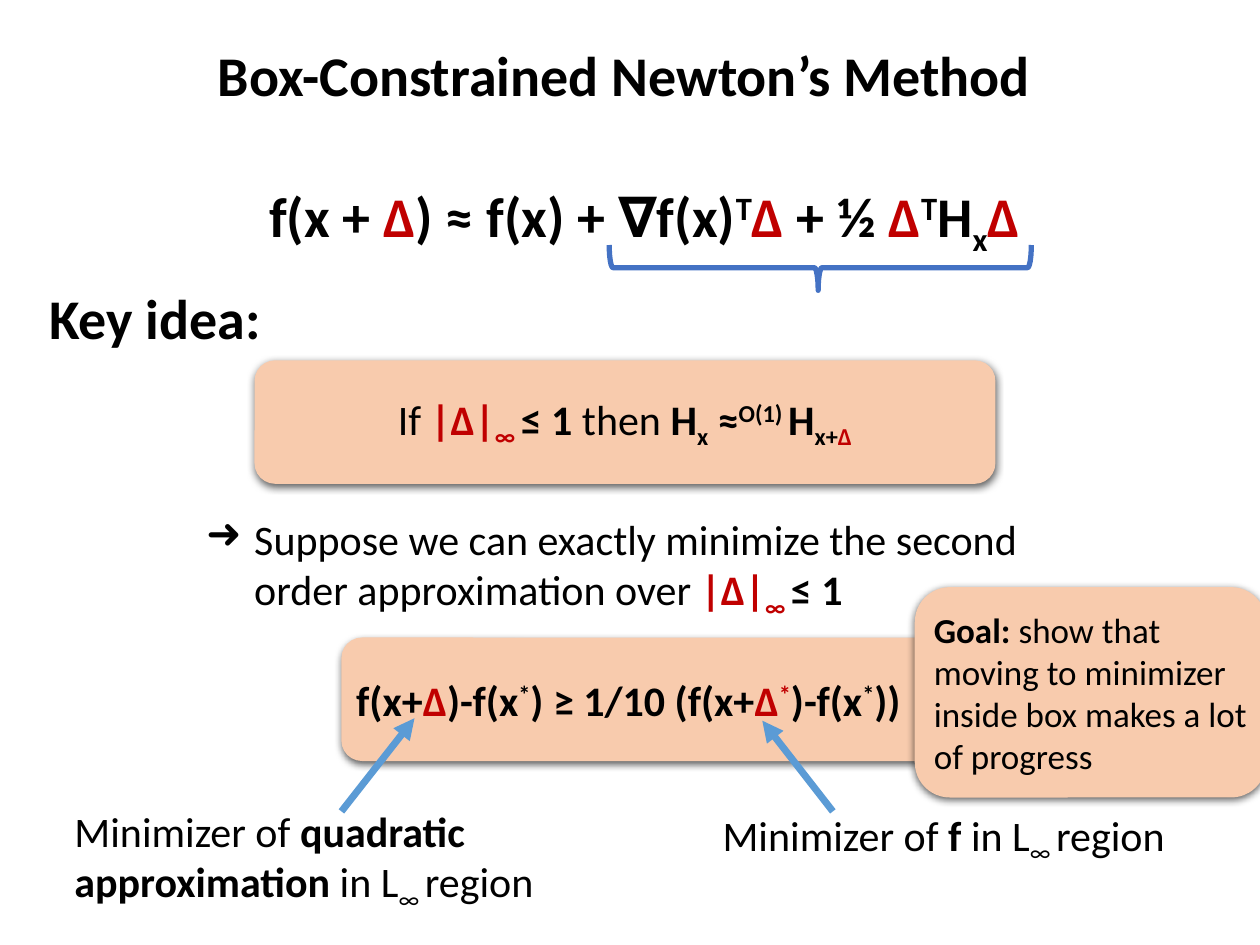
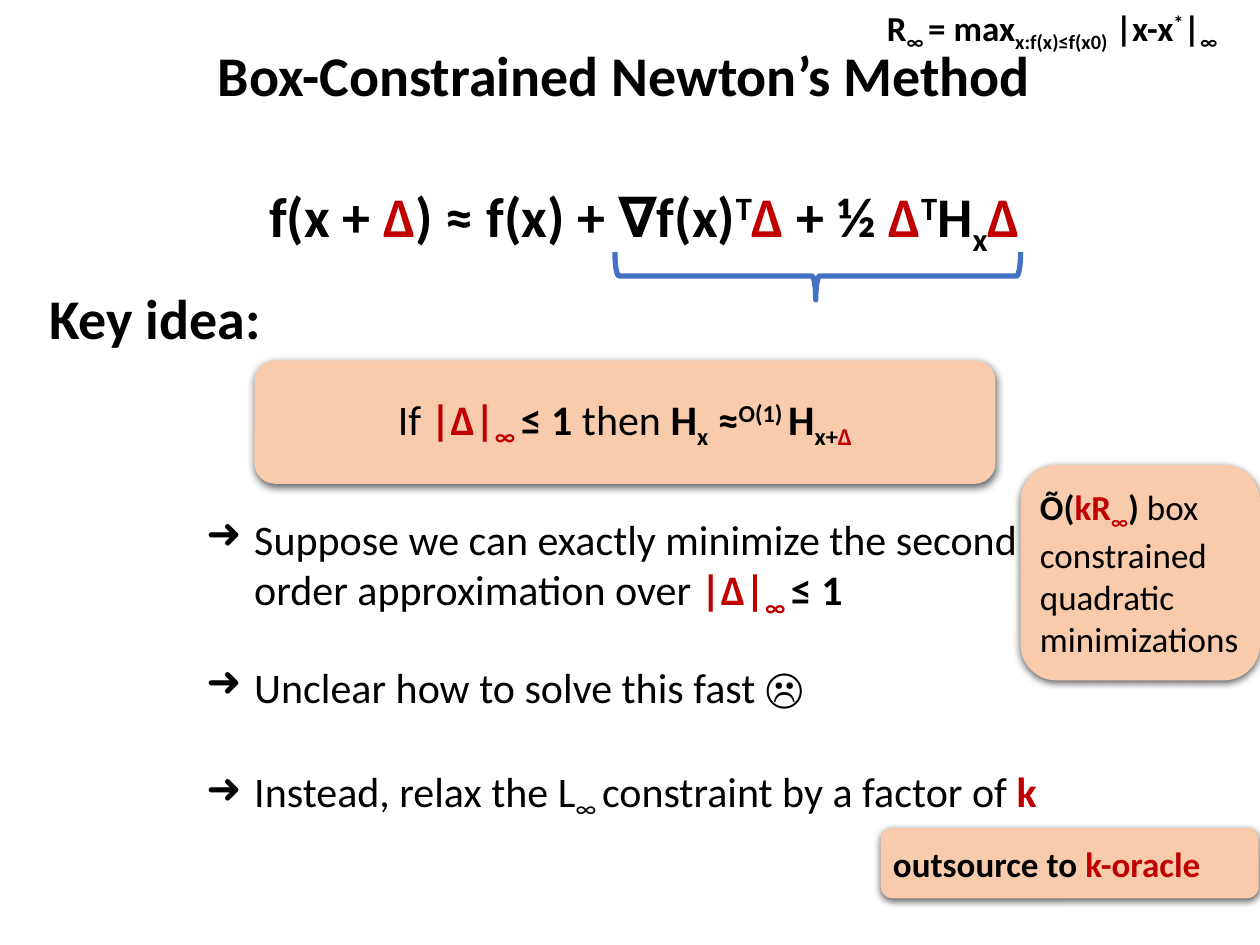
from lxml.etree import SubElement
from pptx import Presentation
from pptx.dml.color import RGBColor
from pptx.enum.shapes import MSO_CONNECTOR, MSO_SHAPE
from pptx.enum.text import MSO_ANCHOR, PP_ALIGN
from pptx.oxml.ns import qn
from pptx.util import Inches, Pt

BLACK = RGBColor(0x00, 0x00, 0x00)
RED = RGBColor(0xC0, 0x00, 0x00)
PEACH = RGBColor(0xF8, 0xCB, 0xAD)
BRACE_BLUE = RGBColor(0x44, 0x72, 0xC4)
ARROW_BLUE = RGBColor(0x5B, 0x9B, 0xD5)
FONT = "Calibri"

# Each run is (text, marks): b bold, r red, ^ superscript, _ subscript
BASELINES = {"^": "30000", "_": "-25000"}

TITLE = [("Box-Constrained Newton’s Method", "b")]
EXPANSION = [
    ("f(x + ", "b"), ("Δ", "br"), (") ≈ f(x) + ∇f(x)", "b"), ("T", "b^"),
    ("Δ ", "br"), ("+ ½ ", "b"), ("Δ", "br"), ("T", "b^"), ("H", "b"),
    ("x", "b_"), ("Δ", "br"),
]
BOX_NORM = [("|Δ|", "br"), ("∞ ", "br_")]
STABILITY = [
    ("If ", ""), *BOX_NORM, ("≤ 1 ", "b"), ("then ", ""), ("H", "b"),
    ("x", "b_"), (" ≈", "b"), ("O(1) ", "b^"), ("H", "b"), ("x+", "b_"),
    ("Δ", "br_"),
]
SUPPOSE = [
    ("Suppose we can exactly minimize the second order approximation over ", ""),
    *BOX_NORM, ("≤ 1", "b"),
]
PROGRESS = [
    ("f(x+", "b"), ("Δ", "br"), (")-f(x", "b"), ("*", "b^"),
    (") ≥ 1/10 (f(x+", "b"), ("Δ", "br"), ("*", "br^"), (")-f(x", "b"),
    ("*", "b^"), ("))", "b"),
]
REGION = [(" in L", ""), ("∞ ", "_"), ("region", "")]
RADIUS = [
    ("R", "b"), ("∞ ", "b_"), ("= max", "b"), ("x:f(x)≤f(x0)", "b_"),
    (" |x-x", "b"), ("*", "b^"), ("|", "b"), ("∞", "b_"),
]


def write_text(shape, runs, size=24, align=PP_ALIGN.LEFT, bullet=None):
    """Fill a shape with one paragraph of marked runs."""
    shape.text_frame.word_wrap = True
    paragraph = shape.text_frame.paragraphs[0]
    paragraph.alignment = align
    if bullet:
        properties = paragraph._p.get_or_add_pPr()
        properties.set("marL", str(Inches(0.38)))
        properties.set("indent", str(-Inches(0.38)))
        SubElement(properties, qn("a:buChar")).set("char", bullet)
    for text, marks in runs:
        run = paragraph.add_run()
        run.text = text
        run.font.name = FONT
        run.font.size = Pt(size)
        run.font.bold = "b" in marks
        run.font.color.rgb = RED if "r" in marks else BLACK
        for mark, baseline in BASELINES.items():
            if mark in marks:
                run.font._element.set("baseline", baseline)


def add_label(slide, left, top, width, height, runs, size=32):
    """Centred text without a panel."""
    box = slide.shapes.add_textbox(
        Inches(left), Inches(top), Inches(width), Inches(height))
    write_text(box, runs, size=size, align=PP_ALIGN.CENTER)


def add_shadow(shape):
    effects = shape.element.spPr.find(qn("a:effectLst"))
    shadow = SubElement(effects, qn("a:outerShdw"), blurRad=str(Pt(4.5)),
                        dist=str(Pt(1.5)), dir="5400000", rotWithShape="0")
    color = SubElement(shadow, qn("a:srgbClr"), val="000000")
    SubElement(color, qn("a:alpha"), val="63000")


def add_panel(slide, left, top, width, height, runs, filled=True, **text_format):
    """Rounded panel, either peach with a shadow or clear."""
    panel = slide.shapes.add_shape(
        MSO_SHAPE.ROUNDED_RECTANGLE,
        Inches(left), Inches(top), Inches(width), Inches(height))
    panel.shadow.inherit = False
    panel.line.fill.background()
    if filled:
        panel.fill.solid()
        panel.fill.fore_color.rgb = PEACH
        add_shadow(panel)
    else:
        panel.fill.background()
    frame = panel.text_frame
    frame.vertical_anchor = MSO_ANCHOR.MIDDLE
    frame.margin_left = frame.margin_right = Inches(0.07)
    frame.margin_top = frame.margin_bottom = Inches(0.04)
    write_text(panel, runs, **text_format)


def add_step(slide, top, width, runs):
    add_panel(slide, 1.52, top, width, 0.98, runs, filled=False, bullet="➜")


def add_brace(slide, left, top, width, height):
    """Brace turned to lie under the quadratic terms."""
    brace = slide.shapes.add_shape(
        MSO_SHAPE.RIGHT_BRACE,
        Inches(left), Inches(top), Inches(width), Inches(height))
    brace.rotation = 90
    brace.adjustments[0] = 0.083
    brace.adjustments[1] = 0.505
    brace.shadow.inherit = False
    brace.fill.background()
    brace.line.color.rgb = BRACE_BLUE
    brace.line.width = Pt(3)


def add_arrow(slide, start, end):
    arrow = slide.shapes.add_connector(
        MSO_CONNECTOR.STRAIGHT, *map(Inches, start + end))
    arrow.line.color.rgb = ARROW_BLUE
    arrow.line.width = Pt(4)
    SubElement(arrow.line._get_or_add_ln(), qn("a:tailEnd"), type="triangle")
    SubElement(arrow._element.spPr, qn("a:effectLst"))


def add_method_slide(presentation, brace):
    """Slide with the title, expansion, key idea and first step."""
    slide = presentation.slides.add_slide(presentation.slide_layouts[6])
    add_label(slide, 1.58, 0.27, 6.75, 0.64, TITLE)
    add_label(slide, 0.94, 1.39, 8.35, 0.64, EXPANSION)
    add_panel(slide, 2.02, 2.86, 5.88, 0.98, STABILITY, align=PP_ALIGN.CENTER)
    add_label(slide, 0.01, 2.2, 2.44, 0.64, [("Key idea:", "b")])
    add_step(slide, 4.01, 7.19, SUPPOSE)
    add_brace(slide, *brace)
    return slide


def add_progress_slide(presentation):
    slide = add_method_slide(presentation, (6.33, 0.45, 0.36, 3.35))
    add_panel(slide, 2.71, 5.06, 4.8, 0.98, PROGRESS)

    # Explanations of the two minimizers
    add_panel(slide, 0.46, 6.19, 4.03, 1.26,
              [("Minimizer of ", ""), ("quadratic approximation", "b"), *REGION],
              filled=False)
    add_panel(slide, 5.62, 6.19, 3.98, 0.92,
              [("Minimizer of ", ""), ("f", "b"), *REGION], filled=False)
    add_arrow(slide, (2.71, 6.44), (3.29, 5.7))
    add_arrow(slide, (6.61, 6.44), (6.05, 5.72))

    # Goal
    goal = "show that moving to minimizer inside box makes a lot of progress"
    add_panel(slide, 7.26, 4.66, 2.79, 1.67,
              [("Goal: ", "b"), (goal, "")], size=20)


def add_oracle_slide(presentation):
    slide = add_method_slide(presentation, (6.3, 0.58, 0.38, 3.22))

    # Cost of the method
    add_panel(slide, 8.1, 3.69, 1.9, 1.71,
              [("Õ(", "b"), ("kR", "br"), ("∞", "br_"), (") ", "b"),
               ("box constrained quadratic minimizations", "")], size=20)

    # Further steps
    add_step(slide, 4.96, 5.19, [("Unclear how to solve this fast ☹", "")])
    add_step(slide, 5.81, 7.19,
             [("Instead, relax the L", ""), ("∞ ", "_"),
              ("constraint by a factor of ", ""), ("k", "br")])
    add_panel(slide, 6.99, 6.57, 3, 0.56,
              [("outsource to ", "b"), ("k-oracle", "br")], size=20)

    # Definition of the radius
    add_label(slide, 6.51, 0, 3.68, 0.44, RADIUS, size=20)


def main():
    presentation = Presentation()
    presentation.slide_width = Inches(10)
    presentation.slide_height = Inches(7.5)
    add_progress_slide(presentation)
    add_oracle_slide(presentation)
    presentation.save("out.pptx")


if __name__ == "__main__":
    main()
